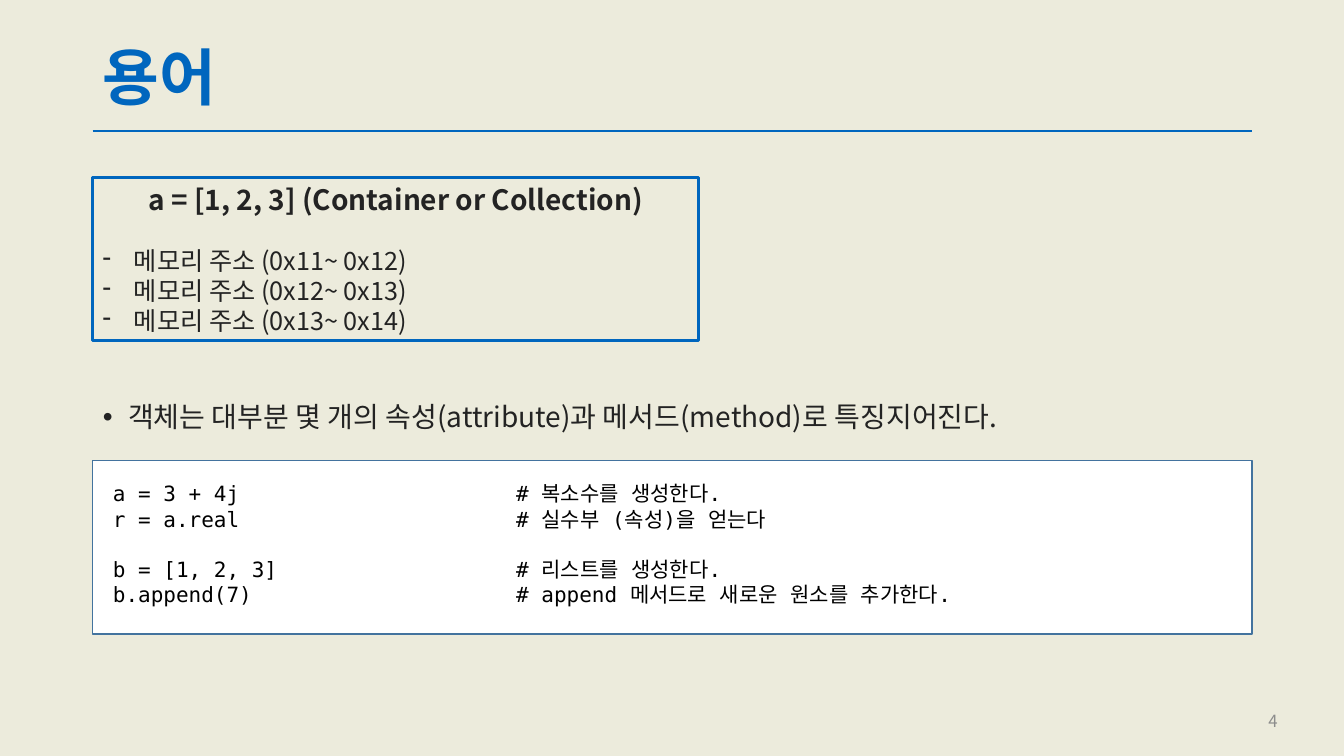
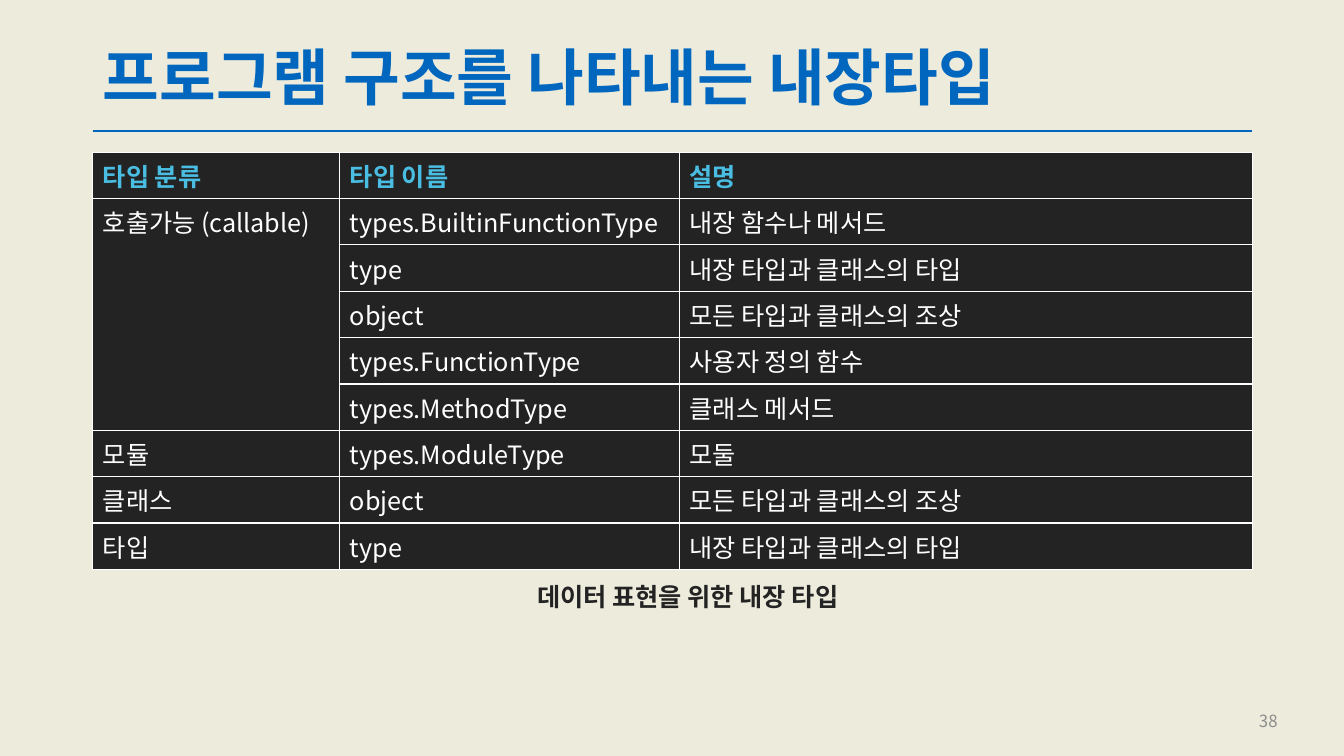
"""Build two Korean lecture slides on Python objects and built-in types."""
import lxml.etree
import pptx
import pptx.dml.color
import pptx.enum.shapes
import pptx.enum.text
import pptx.oxml.ns
import pptx.util

COLORS = {
    "background": "ECEBDC", "accent": "0066BE", "dark": "232323",
    "number": "8C8C8C", "white": "FFFFFF", "black": "000000",
    "code_border": "43739E", "header": "4ABEE2",
}
SANS = "Noto Sans CJK KR"
MONO = "DejaVu Sans Mono"
Inches = pptx.util.Inches
Pt = pptx.util.Pt
qn = pptx.oxml.ns.qn
ALIGN = pptx.enum.text.PP_ALIGN
ANCHOR = pptx.enum.text.MSO_ANCHOR
RECTANGLE = pptx.enum.shapes.MSO_SHAPE.RECTANGLE
LEFT = Inches(0.92)
WIDTH = Inches(11.5)
RIGHT = LEFT + WIDTH


def color(name):
    return pptx.dml.color.RGBColor.from_string(COLORS[name])


def write(frame, text, size=18, fill="dark", font=SANS, bold=False, align=ALIGN.LEFT,
          before=0, spacing=None, bullet=None, indent=0, tab=None):
    paragraph = frame.paragraphs[0]
    if paragraph.runs:
        paragraph = frame.add_paragraph()
    paragraph.alignment = align
    paragraph.line_spacing = spacing
    paragraph.space_before = Pt(before)
    properties = paragraph._p.get_or_add_pPr()
    if bullet:
        properties.set("marL", str(Inches(indent)))
        properties.set("indent", str(-Inches(indent)))
        lxml.etree.SubElement(properties, qn("a:buChar"), char=bullet)
    if tab:
        stops = lxml.etree.SubElement(properties, qn("a:tabLst"))
        lxml.etree.SubElement(stops, qn("a:tab"), pos=str(Inches(tab)), algn="l")
    run = paragraph.add_run()
    run.text = text
    run.font.size = Pt(size)
    run.font.bold = bold
    run.font.color.rgb = color(fill)
    run.font.name = font
    lxml.etree.SubElement(run.font._element, qn("a:ea"), typeface=font)


presentation = pptx.Presentation()
presentation.slide_width = Inches(13.33)
presentation.slide_height = Inches(7.5)
master_fill = presentation.slide_master.background.fill
master_fill.solid()
master_fill.fore_color.rgb = color("background")

slides = []
for layout, title, number in ((1, "용어", "4"), (5, "프로그램 구조를 나타내는 내장타입", "38")):
    slide = presentation.slides.add_slide(presentation.slide_layouts[layout])
    slides.append(slide)

    rule = slide.shapes.add_connector(
        pptx.enum.shapes.MSO_CONNECTOR.STRAIGHT, LEFT, Inches(1.3), RIGHT, Inches(1.3))
    rule.line.color.rgb = color("accent")
    rule.line.width = Pt(2)
    lxml.etree.SubElement(rule._element.spPr, qn("a:effectLst"))

    heading = slide.shapes.title
    heading.left, heading.top, heading.width, heading.height = LEFT, Inches(0.4), WIDTH, Inches(0.8)
    heading.text_frame.auto_size = pptx.enum.text.MSO_AUTO_SIZE.NONE
    heading.text_frame.vertical_anchor = ANCHOR.MIDDLE
    write(heading.text_frame, title, size=44, fill="accent", bold=True, spacing=0.9)

    number_box = slide.shapes.add_textbox(Inches(9.77), Inches(6.95), Inches(3), Inches(0.4))
    number_box.text_frame.word_wrap = True
    number_box.text_frame.vertical_anchor = ANCHOR.MIDDLE
    write(number_box.text_frame, number, size=12, fill="number", align=ALIGN.RIGHT)

terms_slide, types_slide = slides

container_box = terms_slide.shapes.add_shape(RECTANGLE, LEFT, Inches(1.76), Inches(6.01), Inches(1.62))
container_box.shadow.inherit = False
container_box.fill.background()
container_box.line.color.rgb = color("accent")
container_box.line.width = Pt(2)
write(container_box.text_frame, "a = [1, 2, 3] (Container or Collection)",
      size=20, bold=True, align=ALIGN.CENTER)
for index in range(3):
    write(container_box.text_frame, f"메모리 주소 (0x{11 + index}~ 0x{12 + index})",
          bullet="-", indent=0.31, before=0 if index else 21)

code_box = terms_slide.shapes.add_shape(RECTANGLE, LEFT, Inches(4.57), WIDTH, Inches(1.72))
code_box.shadow.inherit = False
code_box.fill.solid()
code_box.fill.fore_color.rgb = color("white")
code_box.line.color.rgb = color("code_border")
code_box.line.width = Pt(1)
code_frame = code_box.text_frame
code_frame.vertical_anchor = ANCHOR.TOP
code_frame.margin_left = code_frame.margin_right = Inches(0.2)
code_frame.margin_top = code_frame.margin_bottom = Inches(0.2)
for statement, remark, gap in (
    ("a = 3 + 4j", "복소수를 생성한다.", 0),
    ("r = a.real", "실수부 (속성)을 얻는다", 0),
    ("b = [1, 2, 3]", "리스트를 생성한다.", 18),
    ("b.append(7)", "append 메서드로 새로운 원소를 추가한다.", 0),
):
    write(code_frame, f"{statement}\t# {remark}", size=15, fill="black", font=MONO,
          before=gap, tab=4)

body = terms_slide.placeholders[1]
body.left, body.top, body.width, body.height = LEFT, Inches(3.95), WIDTH, Inches(0.43)
body.text_frame.auto_size = pptx.enum.text.MSO_AUTO_SIZE.NONE
write(body.text_frame, "객체는 대부분 몇 개의 속성(attribute)과 메서드(method)로 특징지어진다.",
      size=20, before=10, spacing=0.9, bullet="•", indent=0.25)

type_rows = (
    ("타입 분류", "타입 이름", "설명"),
    ("호출가능 (callable)", "types.BuiltinFunctionType", "내장 함수나 메서드"),
    ("", "type", "내장 타입과 클래스의 타입"),
    ("", "object", "모든 타입과 클래스의 조상"),
    ("", "types.FunctionType", "사용자 정의 함수"),
    ("", "types.MethodType", "클래스 메서드"),
    ("모듈", "types.ModuleType", "모둘"),
    ("클래스", "object", "모든 타입과 클래스의 조상"),
    ("타입", "type", "내장 타입과 클래스의 타입"),
)
row_height = Inches(0.46)
table = types_slide.shapes.add_table(
    len(type_rows), 3, LEFT, Inches(1.51), WIDTH, row_height * len(type_rows)).table
table.horz_banding = False
for column, width in zip(table.columns, (2.45, 3.37, 5.68)):
    column.width = Inches(width)
for row_index, texts in enumerate(type_rows):
    table.rows[row_index].height = row_height
    is_header = row_index == 0
    for column_index, text in enumerate(texts):
        cell = table.cell(row_index, column_index)
        cell_properties = cell._tc.get_or_add_tcPr()
        for side in ("a:lnL", "a:lnR", "a:lnT", "a:lnB"):
            border = lxml.etree.SubElement(cell_properties, qn(side), w=str(Pt(1)))
            border_fill = lxml.etree.SubElement(border, qn("a:solidFill"))
            lxml.etree.SubElement(border_fill, qn("a:srgbClr"), val=COLORS["white"])
        cell.fill.solid()
        cell.fill.fore_color.rgb = color("dark")
        cell.vertical_anchor = ANCHOR.MIDDLE if is_header or column_index else ANCHOR.TOP
        if text:
            write(cell.text_frame, text, fill="header" if is_header else "white", bold=is_header)
table.cell(1, 0).merge(table.cell(5, 0))

caption = types_slide.shapes.add_textbox(Inches(4.98), Inches(5.72), Inches(3.68), Inches(0.4))
caption.text_frame.word_wrap = False
write(caption.text_frame, "데이터 표현을 위한 내장 타입", bold=True, align=ALIGN.CENTER)

presentation.save("out.pptx")
